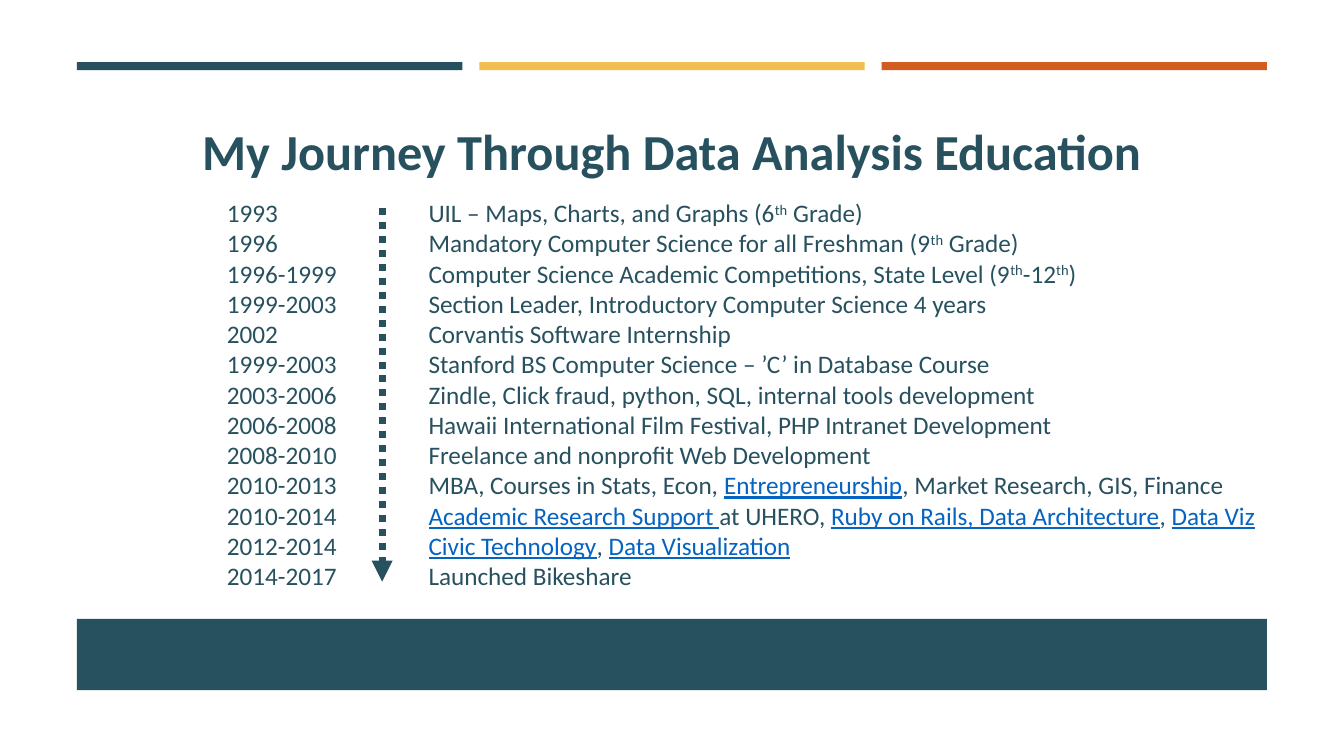
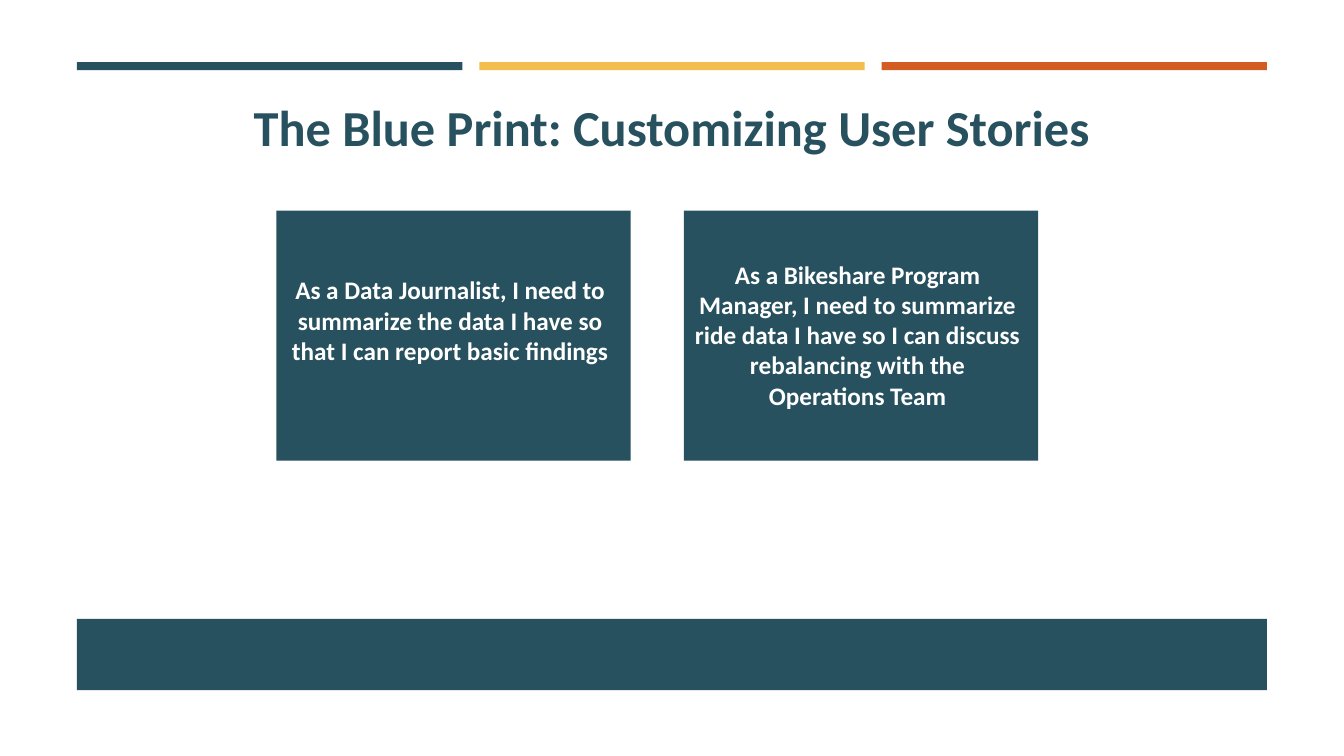
from dataclasses import dataclass

import lxml.etree
import pptx
import pptx.dml.color
import pptx.enum.dml
import pptx.enum.shapes
import pptx.enum.text
import pptx.oxml.ns
import pptx.util

Pt = pptx.util.Pt
MIDDLE = pptx.enum.text.MSO_ANCHOR.MIDDLE
CENTER = pptx.enum.text.PP_ALIGN.CENTER


@dataclass(frozen=True)
class Theme:
    teal: str = "27515E"
    gold: str = "F2BF4E"
    rust: str = "D35C20"
    link: str = "0563C1"
    white: str = "FFFFFF"
    font: str = "Calibri"
    title_size: int = 36
    body_size: int = 18


MILESTONES = [
    ("1993", ["UIL – Maps, Charts, and Graphs (6", "^th", " Grade)"]),
    ("1996", ["Mandatory Computer Science for all Freshman (9", "^th", " Grade)"]),
    ("1996-1999", ["Computer Science Academic Competitions, State Level (9", "^th", "-12", "^th", ")"]),
    ("1999-2003", ["Section Leader, Introductory Computer Science 4 years"]),
    ("2002", ["Corvantis Software Internship"]),
    ("1999-2003", ["Stanford BS Computer Science – ’C’ in Database Course"]),
    ("2003-2006", ["Zindle, Click fraud, python, SQL, internal tools development"]),
    ("2006-2008", ["Hawaii International Film Festival, PHP Intranet Development"]),
    ("2008-2010", ["Freelance and nonprofit Web Development"]),
    ("2010-2013", ["MBA, Courses in Stats, Econ, ", "_Entrepreneurship", ", Market Research, GIS, Finance"]),
    ("2010-2014", ["_Academic Research Support ", "at UHERO, ",
                   "_Ruby on Rails, Data Architecture", ", ", "_Data Viz"]),
    ("2012-2014", ["_Civic Technology", ", ", "_Data Visualization"]),
    ("2014-2017", ["Launched Bikeshare"]),
]

STORIES = [
    ("As a Data Journalist, I need to summarize the data I have so that I can report basic findings", 26),
    ("As a Bikeshare Program Manager, I need to summarize ride data I have so I can discuss "
     "rebalancing with the Operations Team", 5),
]


class Deck:
    LEFT = 55
    WIDTH = 850

    def __init__(self, theme):
        self.theme = theme
        self.presentation = pptx.Presentation()
        self.presentation.slide_width = Pt(960)
        self.presentation.slide_height = Pt(540)
        self.slide = None

    def rgb(self, colour):
        return pptx.dml.color.RGBColor.from_string(colour)

    def style(self, run, size, colour, bold=False):
        run.font.name = self.theme.font
        run.font.size = Pt(size)
        run.font.bold = bold
        run.font.color.rgb = self.rgb(colour)

    def add_slide(self, title, title_top):
        self.slide = self.presentation.slides.add_slide(self.presentation.slide_layouts[5])
        self.add_bands()
        heading = self.slide.shapes.title
        heading.left, heading.top = Pt(self.LEFT), Pt(title_top)
        heading.width, heading.height = Pt(self.WIDTH), Pt(51)
        frame = heading.text_frame
        frame.text = title
        frame.word_wrap = True
        frame.auto_size = pptx.enum.text.MSO_AUTO_SIZE.NONE
        frame.vertical_anchor = MIDDLE
        frame.paragraphs[0].alignment = CENTER
        self.style(frame.paragraphs[0].runs[0], self.theme.title_size, self.theme.teal, True)

    def add_block(self, left, top, width, height, colour):
        block = self.slide.shapes.add_shape(
            pptx.enum.shapes.MSO_SHAPE.RECTANGLE, Pt(left), Pt(top), Pt(width), Pt(height))
        block.shadow.inherit = False
        block.fill.solid()
        block.fill.fore_color.rgb = self.rgb(colour)
        block.line.fill.background()
        return block

    def add_bands(self):
        gap = 12
        band_width = (self.WIDTH - 2 * gap) / 3
        for index, colour in enumerate((self.theme.teal, self.theme.gold, self.theme.rust)):
            self.add_block(self.LEFT + index * (band_width + gap), 44.3, band_width, 5.8, colour)
        self.add_block(self.LEFT, 442, self.WIDTH, 51, self.theme.teal)

    def add_timeline(self, left, top, width, height, milestones, tab):
        frame = self.slide.shapes.add_textbox(Pt(left), Pt(top), Pt(width), Pt(height)).text_frame
        frame.word_wrap = True
        frame.vertical_anchor = MIDDLE
        for index, (years, pieces) in enumerate(milestones):
            entry = frame.add_paragraph() if index else frame.paragraphs[0]
            stops = lxml.etree.SubElement(entry._p.get_or_add_pPr(), pptx.oxml.ns.qn("a:tabLst"))
            lxml.etree.SubElement(stops, pptx.oxml.ns.qn("a:tab"), pos=str(Pt(tab)), algn="l")
            for piece in [years + "\t", *pieces]:
                self.add_piece(entry, piece)

    def add_piece(self, entry, piece):
        raised, linked = piece.startswith("^"), piece.startswith("_")
        run = entry.add_run()
        run.text = piece[1:] if raised or linked else piece
        self.style(run, self.theme.body_size, self.theme.link if linked else self.theme.teal)
        if linked:
            run.font.underline = True
        if raised:
            run._r.get_or_add_rPr().set("baseline", "30000")

    def add_dotted_arrow(self, x, top, bottom):
        arrow = self.slide.shapes.add_connector(
            pptx.enum.shapes.MSO_CONNECTOR.STRAIGHT, Pt(x), Pt(top), Pt(x), Pt(bottom))
        arrow.line.color.rgb = self.rgb(self.theme.teal)
        arrow.line.width = Pt(5)
        arrow.line.dash_style = pptx.enum.dml.MSO_LINE.ROUND_DOT
        lxml.etree.SubElement(arrow.line._get_or_add_ln(), pptx.oxml.ns.qn("a:tailEnd"), type="triangle")
        lxml.etree.SubElement(arrow._element.spPr, pptx.oxml.ns.qn("a:effectLst"))

    def add_story(self, left, top, width, height, story, bottom_inset):
        frame = self.add_block(left, top, width, height, self.theme.teal).text_frame
        frame.text = story
        frame.word_wrap = True
        frame.vertical_anchor = MIDDLE
        frame.margin_right = Pt(12)
        frame.margin_bottom = Pt(bottom_inset)
        frame.paragraphs[0].alignment = CENTER
        self.style(frame.paragraphs[0].runs[0], self.theme.body_size, self.theme.white, True)


def main():
    deck = Deck(Theme())

    deck.add_slide("My Journey Through Data Analysis Education", 82)
    deck.add_timeline(155, 132.5, 755, 298, MILESTONES, 144)
    deck.add_dotted_arrow(273, 148.5, 415.5)

    deck.add_slide("The Blue Print: Customizing User Stories", 65)
    for index, (story, bottom_inset) in enumerate(STORIES):
        deck.add_story(197.5 + index * 291, 150.5, 253, 178.5, story, bottom_inset)

    deck.presentation.save("out.pptx")


if __name__ == "__main__":
    main()
